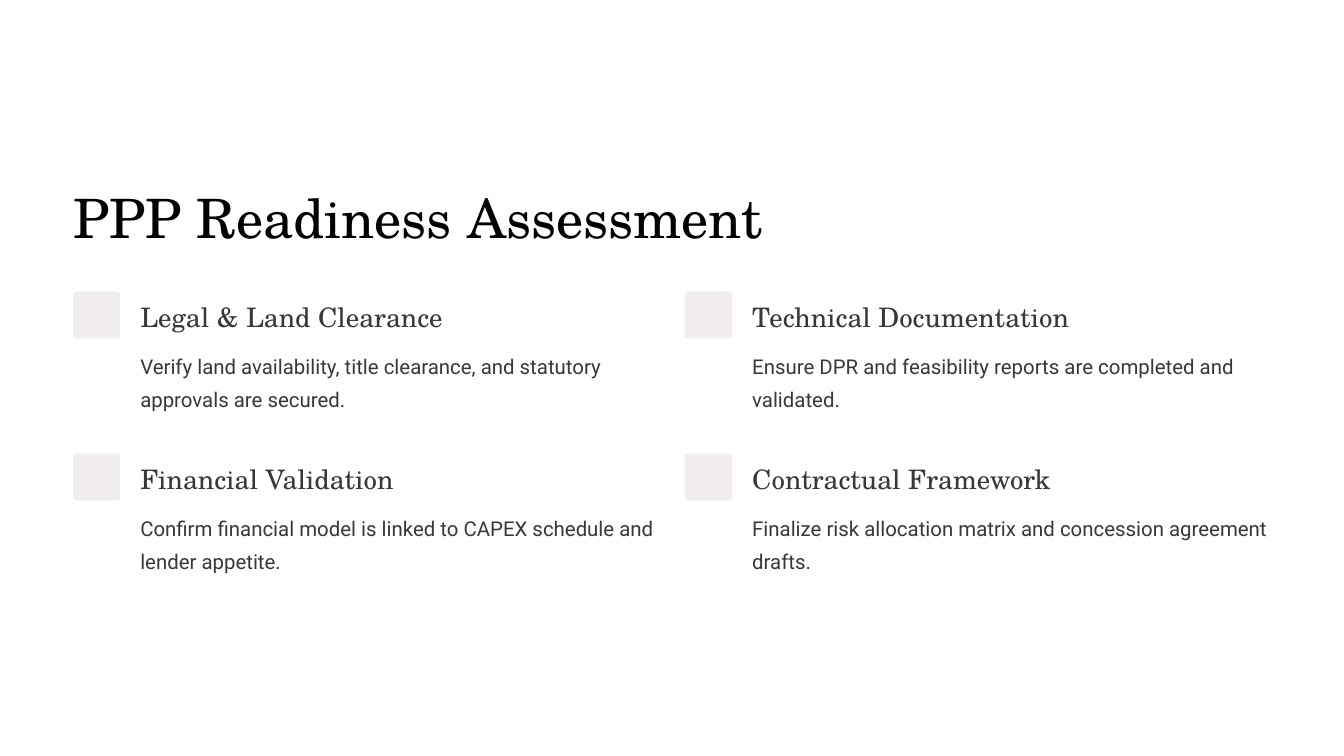
import pptx
import pptx.dml.color
import pptx.enum.shapes
import pptx.enum.text
import pptx.util

Inches = pptx.util.Inches
Pt = pptx.util.Pt

TITLE = {"size": Pt(46.5), "name": "TeX Gyre Schola", "color": "020202", "spacing": Pt(58.5)}
HEADING = {"size": Pt(23), "name": "TeX Gyre Schola", "color": "383838", "spacing": Pt(29)}
BODY = {"size": Pt(17.5), "name": "Roboto", "color": "383838", "spacing": Pt(28.5)}

FRAME = {
    "margin_left": 0,
    "margin_top": 0,
    "margin_right": 0,
    "margin_bottom": 0,
    "vertical_anchor": pptx.enum.text.MSO_ANCHOR.TOP,
    "auto_size": pptx.enum.text.MSO_AUTO_SIZE.NONE,
}

CHECKS = [
    ("Legal & Land Clearance",
     "Verify land availability, title clearance, and statutory approvals are secured."),
    ("Technical Documentation",
     "Ensure DPR and feasibility reports are completed and validated."),
    ("Financial Validation",
     "Confirm financial model is linked to CAPEX schedule and lender appetite."),
    ("Contractual Framework",
     "Finalize risk allocation matrix and concession agreement drafts."),
]

LEFT, TOP = 0.87, 3.47
COLUMN_STEP, ROW_STEP = 7.285, 1.93


def paint(color_format, value):
    color_format.rgb = pptx.dml.color.RGBColor.from_string(value)


def set_attrs(obj, values):
    for name, value in values.items():
        setattr(obj, name, value)


def write(sp, text, style, wrap):
    tf = sp.text_frame
    set_attrs(tf, {**FRAME, "word_wrap": wrap})
    p = tf.paragraphs[0]
    set_attrs(p, {
        "alignment": pptx.enum.text.PP_ALIGN.LEFT,
        "line_spacing": style["spacing"],
        "space_before": Pt(0),
    })
    r = p.add_run()
    r.text = text
    set_attrs(r.font, {"size": style["size"], "name": style["name"]})
    paint(r.font.color, style["color"])


def add_title(s, text):
    sp = s.shapes.title
    set_attrs(sp, {
        "left": Inches(LEFT),
        "top": Inches(2.16),
        "width": Inches(8.3),
        "height": Inches(0.81),
    })
    write(sp, text, TITLE, False)


def add_text(s, x, y, w, h, text, style, wrap):
    sp = s.shapes.add_textbox(Inches(x), Inches(y), Inches(w), Inches(h))
    write(sp, text, style, wrap)


def add_marker(s, x, y):
    sp = s.shapes.add_shape(
        pptx.enum.shapes.MSO_SHAPE.ROUNDED_RECTANGLE,
        Inches(x), Inches(y), Inches(0.56), Inches(0.56))
    sp.adjustments[0] = 0.07
    sp.shadow.inherit = False
    sp.fill.solid()
    paint(sp.fill.fore_color, "F2EEEE")
    sp.line.fill.background()


def add_check(s, x, y, heading, body):
    add_marker(s, x, y)
    add_text(s, x + 0.8, y + 0.09, 3.75, 0.41, heading, HEADING, False)
    add_text(s, x + 0.8, y + 0.64, 6.17, 0.79, body, BODY, True)


def main():
    prs = pptx.Presentation()
    set_attrs(prs, {"slide_width": Inches(16), "slide_height": Inches(9)})
    s = prs.slides.add_slide(prs.slide_layouts.get_by_name("Title Only"))
    s.background.fill.solid()
    paint(s.background.fill.fore_color, "FFFFFF")
    add_title(s, "PPP Readiness Assessment")
    for i, (heading, body) in enumerate(CHECKS):
        row, column = divmod(i, 2)
        add_check(s, LEFT + column * COLUMN_STEP, TOP + row * ROW_STEP, heading, body)
    prs.save("out.pptx")


if __name__ == "__main__":
    main()
